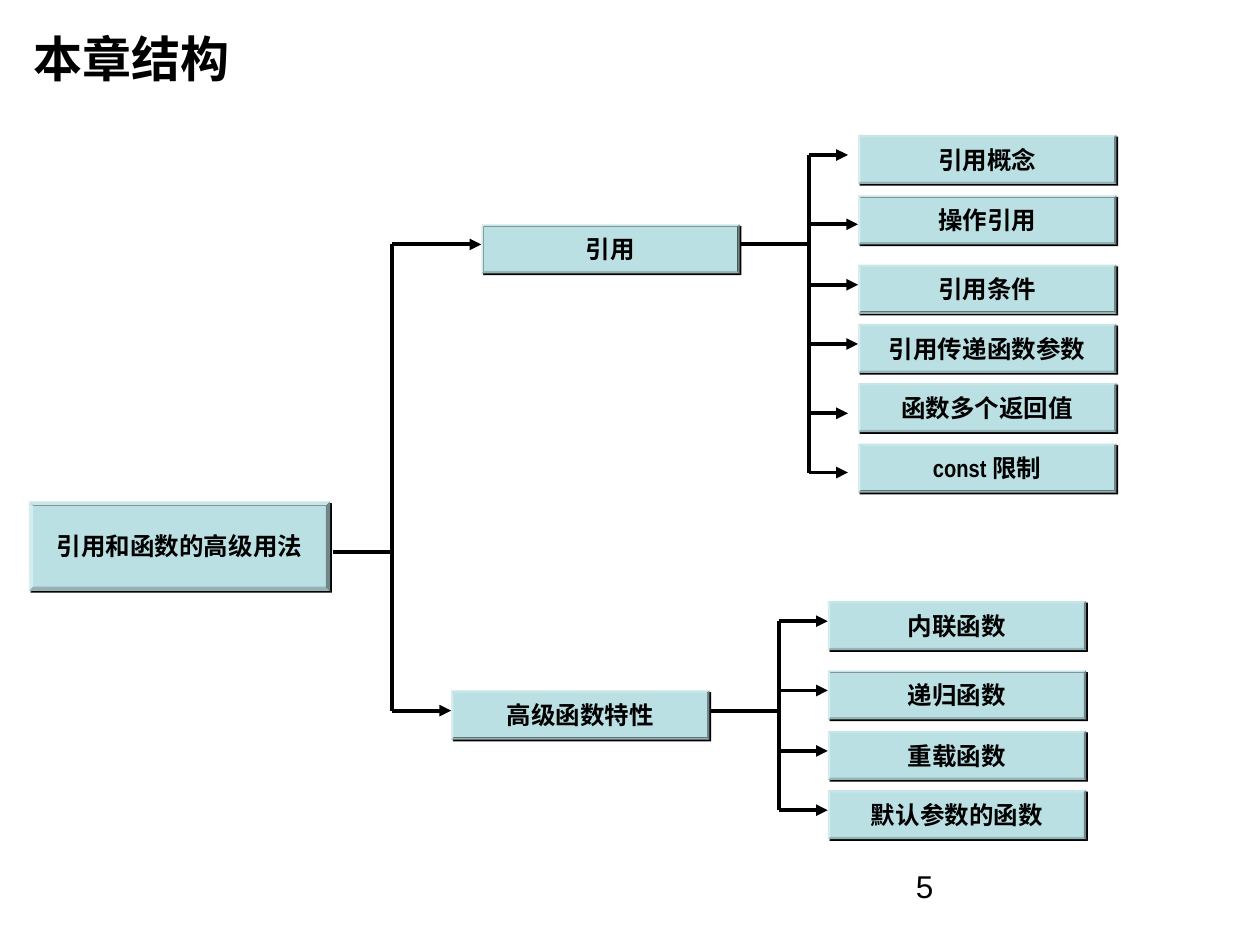
from dataclasses import dataclass

from lxml.etree import SubElement
from pptx import Presentation
from pptx.dml.color import RGBColor
from pptx.enum.shapes import MSO_CONNECTOR, MSO_SHAPE
from pptx.enum.text import MSO_ANCHOR, PP_ALIGN
from pptx.oxml.ns import qn
from pptx.util import Inches, Pt

COLORS = {"ink": "000000", "box": "BBE0E3"}
NODE_WIDTH, NODE_HEIGHT = 2.05, 0.39
ARROW_DROP = 0.16  # from the top of a node to the arrow that reaches it
ROOT_TRUNK_X = 3.11


@dataclass
class Leaf:
    label: str
    top: float
    arrow_drop: float = ARROW_DROP
    arrow_gap: float = 0


@dataclass
class Branch:
    label: str
    left: float
    top: float
    trunk_x: float
    leaf_left: float
    leaves: list[Leaf]

    def arrow_y(self) -> float:
        return self.top + ARROW_DROP


BRANCHES = [
    Branch("引用", 3.82, 1.78, 6.42, 6.81, [
        Leaf("引用概念", 1.07, arrow_gap=0.08),
        Leaf("操作引用", 1.55, arrow_drop=0.23),
        Leaf("引用条件", 2.1),
        Leaf("引用传递函数参数", 2.57),
        Leaf("函数多个返回值", 3.04, arrow_drop=0.24, arrow_gap=0.08),
        Leaf("const 限制", 3.52, arrow_drop=0.23, arrow_gap=0.08),
    ]),
    Branch("高级函数特性", 3.58, 5.48, 6.18, 6.57, [
        Leaf("内联函数", 4.77),
        Leaf("递归函数", 5.32),
        Leaf("重载函数", 5.8),
        Leaf("默认参数的函数", 6.27),
    ]),
]


def format_text(frame, text: str, font_name: str, size: float, bold: bool) -> None:
    frame.text = text
    font = frame.paragraphs[0].runs[0].font
    font.name, font.size, font.bold = font_name, Pt(size), bold
    font.color.rgb = RGBColor.from_string(COLORS["ink"])


def add_label(slide, text: str, left: float, top: float, width: float,
              height: float, size: float, bold: bool, anchor) -> None:
    label = slide.shapes.add_textbox(Inches(left), Inches(top), Inches(width), Inches(height))
    label.text_frame.word_wrap = True
    label.text_frame.vertical_anchor = anchor
    format_text(label.text_frame, text, "Arial", size, bold)


def add_node(slide, text: str, left: float, top: float,
             width: float = NODE_WIDTH, height: float = NODE_HEIGHT) -> None:
    """Draw a bevelled box with a hard shadow to the lower right."""
    node = slide.shapes.add_shape(MSO_SHAPE.BEVEL, Inches(left), Inches(top),
                                  Inches(width), Inches(height))
    node.adjustments[0] = 0.047
    node.fill.solid()
    node.fill.fore_color.rgb = RGBColor.from_string(COLORS["box"])
    node.line.fill.background()
    node.shadow.inherit = False
    effects = node.element.spPr.find(qn("a:effectLst"))
    shadow = SubElement(effects, qn("a:outerShdw"), dist=str(Pt(1.4)),
                        dir="2700000", algn="ctr", rotWithShape="0")
    SubElement(shadow, qn("a:srgbClr"), val=COLORS["ink"])
    frame = node.text_frame
    frame.word_wrap = False
    frame.vertical_anchor = MSO_ANCHOR.MIDDLE
    format_text(frame, text, "Arial Narrow", 14, True)
    frame.paragraphs[0].alignment = PP_ALIGN.CENTER


def add_line(slide, x1: float, y1: float, x2: float, y2: float, arrow: bool = False) -> None:
    connector = slide.shapes.add_connector(MSO_CONNECTOR.STRAIGHT, Inches(x1), Inches(y1),
                                           Inches(x2), Inches(y2))
    connector.line.width = Pt(2.25)
    connector.line.color.rgb = RGBColor.from_string(COLORS["ink"])
    if arrow:
        SubElement(connector.line._get_or_add_ln(), qn("a:tailEnd"), type="triangle")
    SubElement(connector.element.spPr, qn("a:effectLst"))


def add_branch(slide, branch: Branch) -> None:
    y = branch.arrow_y()
    add_line(slide, ROOT_TRUNK_X, y, branch.left, y, arrow=True)
    add_line(slide, branch.left + NODE_WIDTH, y, branch.trunk_x, y)
    arrow_ys = [leaf.top + leaf.arrow_drop for leaf in branch.leaves]
    add_line(slide, branch.trunk_x, arrow_ys[0], branch.trunk_x, arrow_ys[-1])
    add_node(slide, branch.label, branch.left, branch.top)
    for leaf, arrow_y in zip(branch.leaves, arrow_ys):
        add_line(slide, branch.trunk_x, arrow_y,
                 branch.leaf_left - leaf.arrow_gap, arrow_y, arrow=True)
        add_node(slide, leaf.label, branch.leaf_left, leaf.top)


def main() -> None:
    presentation = Presentation()
    presentation.slide_width, presentation.slide_height = Inches(10), Inches(7.5)
    slide = presentation.slides.add_slide(presentation.slide_layouts[6])

    add_label(slide, "本章结构", 0.17, 0, 7.5, 0.92, 28, True, MSO_ANCHOR.MIDDLE)
    add_node(slide, "引用和函数的高级用法", 0.23, 3.98, 2.39, 0.71)
    add_line(slide, 2.64, 4.38, ROOT_TRUNK_X, 4.38)
    add_line(slide, ROOT_TRUNK_X, BRANCHES[0].arrow_y(), ROOT_TRUNK_X, BRANCHES[-1].arrow_y())
    for branch in BRANCHES:
        add_branch(slide, branch)
    add_label(slide, "5", 7.17, 6.83, 2.33, 0.52, 18, False, MSO_ANCHOR.TOP)

    presentation.save("out.pptx")


if __name__ == "__main__":
    main()
